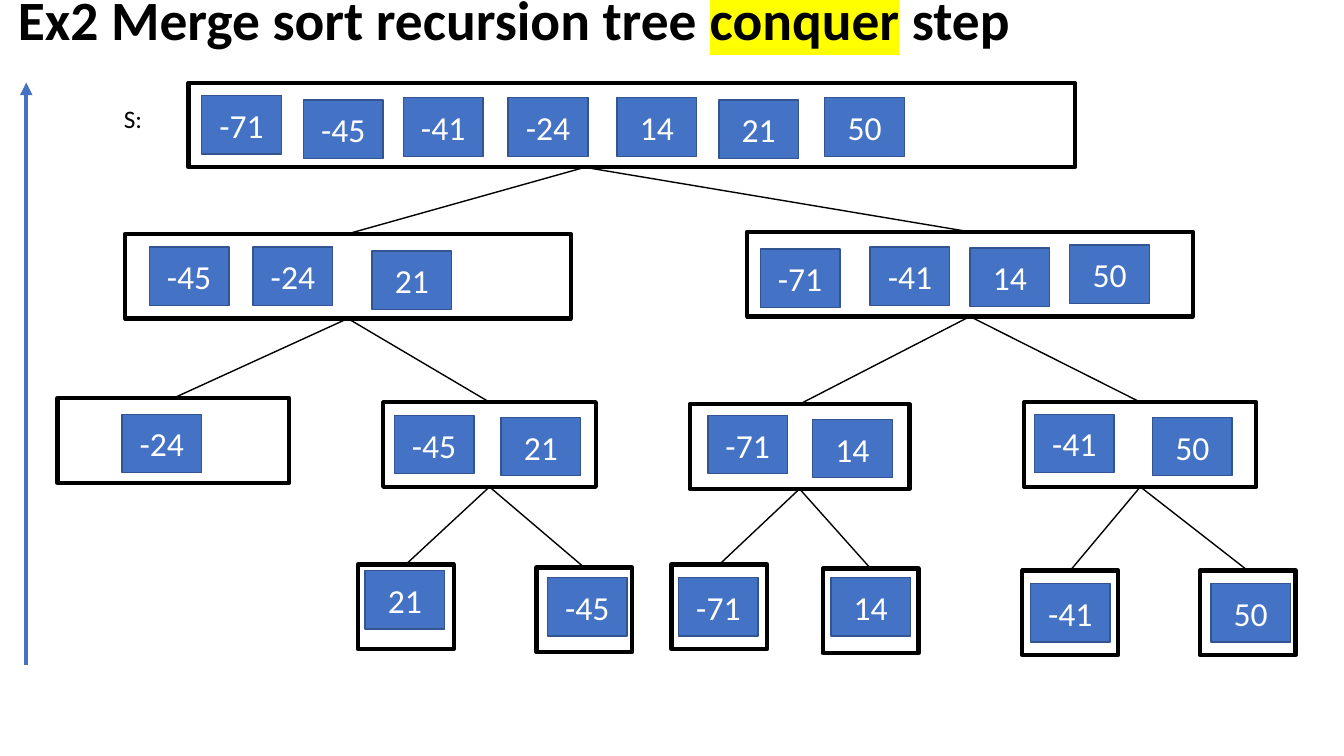
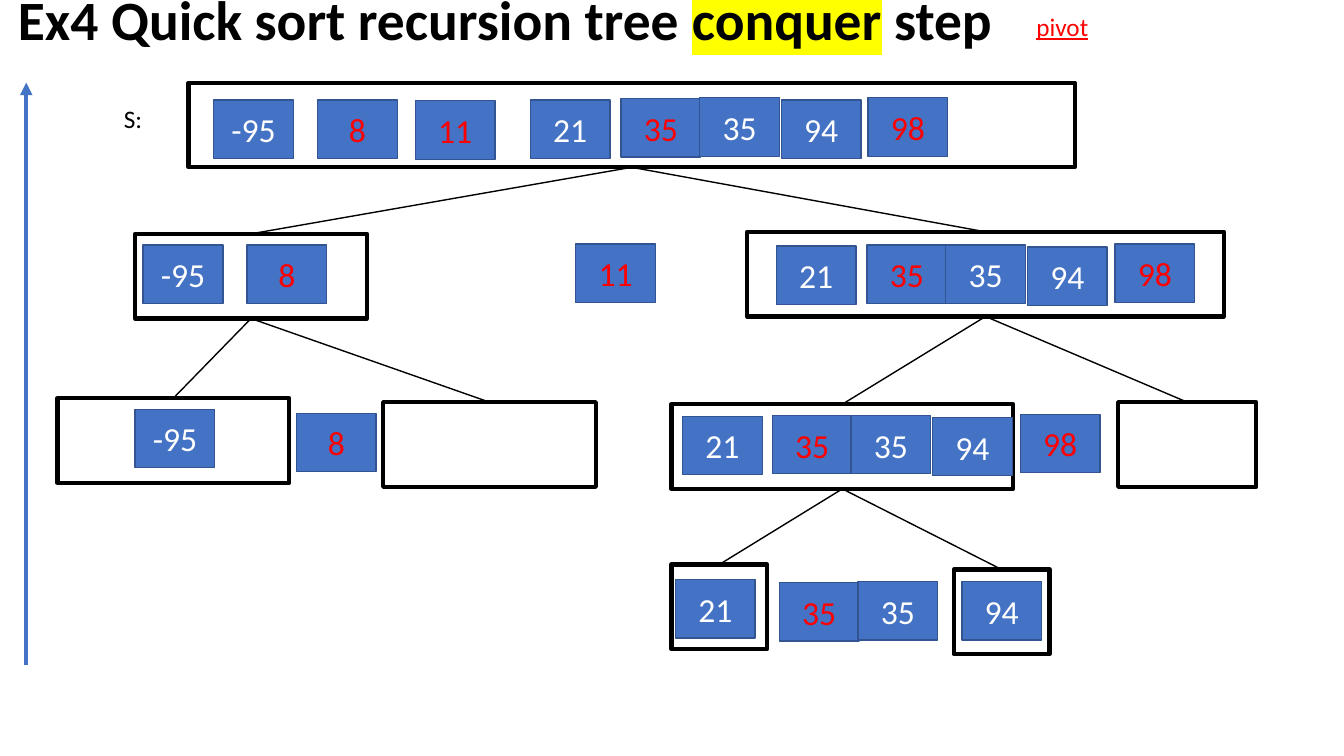
from dataclasses import dataclass

from lxml.etree import SubElement
from pptx import Presentation
from pptx.dml.color import RGBColor
from pptx.enum.shapes import MSO_CONNECTOR as Connector, MSO_SHAPE as Shape
from pptx.enum.text import MSO_ANCHOR as Anchor, PP_ALIGN as Align
from pptx.oxml import parse_xml
from pptx.oxml.ns import nsdecls, qn
from pptx.util import Inches, Pt

BLACK = RGBColor(0x00, 0x00, 0x00)
WHITE = RGBColor(0xFF, 0xFF, 0xFF)
RED = RGBColor(0xFF, 0x00, 0x00)
BLUE = RGBColor(0x44, 0x72, 0xC4)
DARK_BLUE = RGBColor(0x32, 0x54, 0x91)
YELLOW = RGBColor(0xFF, 0xFF, 0x00)

FONT = "Calibri"
NODE_HEIGHT = 0.84
LEAF_WIDTH = 0.95
TILE_WIDTH, TILE_HEIGHT = 0.79, 0.58


@dataclass
class Tile:
    """A number, placed relative to the corner of its node."""
    text: str
    right: float
    down: float
    pivot: bool = False


@dataclass
class Node:
    """A framed list in the tree; fork is where its branches leave, from its left."""
    left: float
    top: float
    width: float
    tiles: tuple = ()
    children: tuple = ()
    fork: float = None

    def fork_point(self):
        """Return the point below the frame where the branches start."""
        fork = self.width / 2 if self.fork is None else self.fork
        return self.left + fork, self.top + NODE_HEIGHT


def write(shape, *parts, size, color=BLACK, bold=None, underline=None,
          marked=None, align=Align.LEFT, anchor=Anchor.TOP, wrap=False, spacing=None):
    """Write the parts as runs of one paragraph; the part equal to marked is highlighted."""
    frame = shape.text_frame
    frame.word_wrap = wrap
    frame.vertical_anchor = anchor
    para = frame.paragraphs[0]
    para.alignment = align
    para.line_spacing = spacing
    for part in parts:
        span = para.add_run()
        span.text = part
        font = span.font
        font.size, font.bold, font.underline = Pt(size), bold, underline
        font.color.rgb = color
        font.name = FONT
        if part == marked:
            fill = font._element.find(qn("a:solidFill"))
            fill.addnext(parse_xml(
                f'<a:highlight {nsdecls("a")}><a:srgbClr val="{YELLOW}"/></a:highlight>'))


def add_text(page, box, *parts, **style):
    """Add a text box at box (left, top, width, height)."""
    write(page.shapes.add_textbox(*map(Inches, box)), *parts, **style)


def add_rectangle(page, box, line, weight, fill=None):
    """Add an outlined rectangle, filled if a fill is given."""
    shape = page.shapes.add_shape(Shape.RECTANGLE, *map(Inches, box))
    shape.shadow.inherit = False
    shape.line.color.rgb = line
    shape.line.width = Pt(weight)
    if fill is None:
        shape.fill.background()
    else:
        shape.fill.solid()
        shape.fill.fore_color.rgb = fill
    return shape


def add_line(page, start, end, color=BLACK, weight=1, arrow=False):
    """Draw a straight line, with an arrowhead at its end if asked."""
    line = page.shapes.add_connector(Connector.STRAIGHT, *map(Inches, (*start, *end)))
    line.line.color.rgb = color
    line.line.width = Pt(weight)
    if arrow:
        SubElement(line.line._get_or_add_ln(), qn("a:tailEnd"), type="triangle")
    SubElement(line._element.spPr, qn("a:effectLst"))


def add_tile(page, left, top, tile):
    """Draw a number tile; pivots are red."""
    box = (left + tile.right, top + tile.down, TILE_WIDTH, TILE_HEIGHT)
    shape = add_rectangle(page, box, DARK_BLUE, 1, BLUE)
    write(shape, tile.text, size=24, color=RED if tile.pivot else WHITE,
          align=Align.CENTER, anchor=Anchor.MIDDLE, wrap=True)


def add_tree(page, node):
    """Draw a node, its branches and tiles, and the trees below it."""
    add_rectangle(page, (node.left, node.top, node.width, NODE_HEIGHT), BLACK, 3)
    for child in node.children:
        add_line(page, node.fork_point(), (child.left + child.width / 2, child.top))
    for tile in node.tiles:
        add_tile(page, node.left, node.top, tile)
    for child in node.children:
        add_tree(page, child)


def add_tree_page(deck, name, tree):
    """Add a page with title, upward arrow, list label and recursion tree."""
    page = deck.slides.add_slide(deck.slide_layouts[6])
    add_text(page, (0.08, -0.02, 11.12, 0.48), f"{name} recursion tree ", "conquer", " step",
             size=39.6, bold=True, marked="conquer", anchor=Anchor.MIDDLE,
             wrap=True, spacing=0.9)
    add_text(page, (1.13, 0.98, 0.64, 0.4), "S:", size=18)
    add_line(page, (0.26, 6.6), (0.26, 0.82), BLUE, 3, arrow=True)
    add_tree(page, tree)
    return page


def leaf(left, top, text, right, down):
    """Return a node that holds one number."""
    return Node(left, top, LEAF_WIDTH, (Tile(text, right, down),))


MERGE_TREE = Node(
    1.87, 0.82, 8.79,
    (Tile("-71", 0.13, 0.13), Tile("-45", 1.14, 0.17), Tile("-41", 2.13, 0.15),
     Tile("-24", 3.17, 0.15), Tile("14", 4.25, 0.15), Tile("21", 5.26, 0.17),
     Tile("50", 6.31, 0.15)),
    (Node(1.24, 2.32, 4.42,
          (Tile("-45", 0.24, 0.13), Tile("-24", 1.27, 0.13), Tile("21", 2.45, 0.17)),
          (Node(0.57, 3.95, 2.3, (Tile("-24", 0.64, 0.16),)),
           Node(3.8, 3.99, 2.11, (Tile("-45", 0.11, 0.13), Tile("21", 1.17, 0.15)),
                (leaf(3.55, 5.6, "21", 0.07, 0.06),
                 leaf(5.32, 5.63, "-45", 0.11, 0.1))))),
     Node(7.41, 2.3, 4.42,
          (Tile("-71", 0.13, 0.17), Tile("-41", 1.22, 0.15), Tile("14", 2.21, 0.16),
           Tile("50", 3.2, 0.13)),
          (Node(6.84, 4.01, 2.18, (Tile("-71", 0.18, 0.11), Tile("14", 1.22, 0.15)),
                (leaf(6.66, 5.6, "-71", 0.07, 0.13),
                 leaf(8.16, 5.64, "14", 0.08, 0.09))),
           Node(10.16, 3.99, 2.3, (Tile("-41", 0.1, 0.12), Tile("50", 1.27, 0.15)),
                (leaf(10.14, 5.66, "-41", 0.08, 0.13),
                 leaf(11.9, 5.66, "50", 0.11, 0.13)))))),
    fork=3.93)

# Tiles placed below a node are the pivots left between its children.
QUICK_TREE = Node(
    1.87, 0.82, 8.79,
    (Tile("-95", 0.25, 0.17), Tile("8", 1.28, 0.17, True), Tile("11", 2.25, 0.18, True),
     Tile("21", 3.39, 0.17), Tile("35", 4.29, 0.16, True), Tile("35", 5.07, 0.15),
     Tile("94", 5.88, 0.17), Tile("98", 6.74, 0.15, True), Tile("11", 3.84, 1.6, True)),
    (Node(1.34, 2.32, 2.3,
          (Tile("-95", 0.08, 0.11), Tile("8", 1.11, 0.11, True),
           Tile("8", 1.6, 1.78, True)),
          (Node(0.57, 3.95, 2.3, (Tile("-95", 0.77, 0.11),)),
           Node(3.8, 3.99, 2.11))),
     Node(7.41, 2.3, 4.73,
          (Tile("21", 0.29, 0.14), Tile("35", 1.19, 0.13, True), Tile("35", 1.97, 0.13),
           Tile("94", 2.78, 0.15), Tile("98", 3.65, 0.12, True),
           Tile("98", 2.71, 1.81, True)),
          (Node(6.66, 4.01, 3.39,
                (Tile("21", 0.11, 0.12), Tile("35", 1, 0.11, True), Tile("35", 1.78, 0.11),
                 Tile("94", 2.59, 0.13), Tile("35", 1.07, 1.77, True),
                 Tile("35", 1.85, 1.76)),
                (leaf(6.66, 5.6, "21", 0.04, 0.15),
                 leaf(9.46, 5.65, "94", 0.08, 0.12))),
           Node(11.09, 3.99, 1.37)))))


def main():
    """Build the deck and save it."""
    deck = Presentation()
    deck.slide_width, deck.slide_height = Inches(13.33), Inches(7.5)
    add_tree_page(deck, "Ex2 Merge sort", MERGE_TREE)
    quick_page = add_tree_page(deck, "Ex4 Quick sort", QUICK_TREE)
    add_text(quick_page, (10.18, 0.06, 0.72, 0.4), "pivot", size=18, color=RED, underline=True)
    deck.save("out.pptx")


main()
